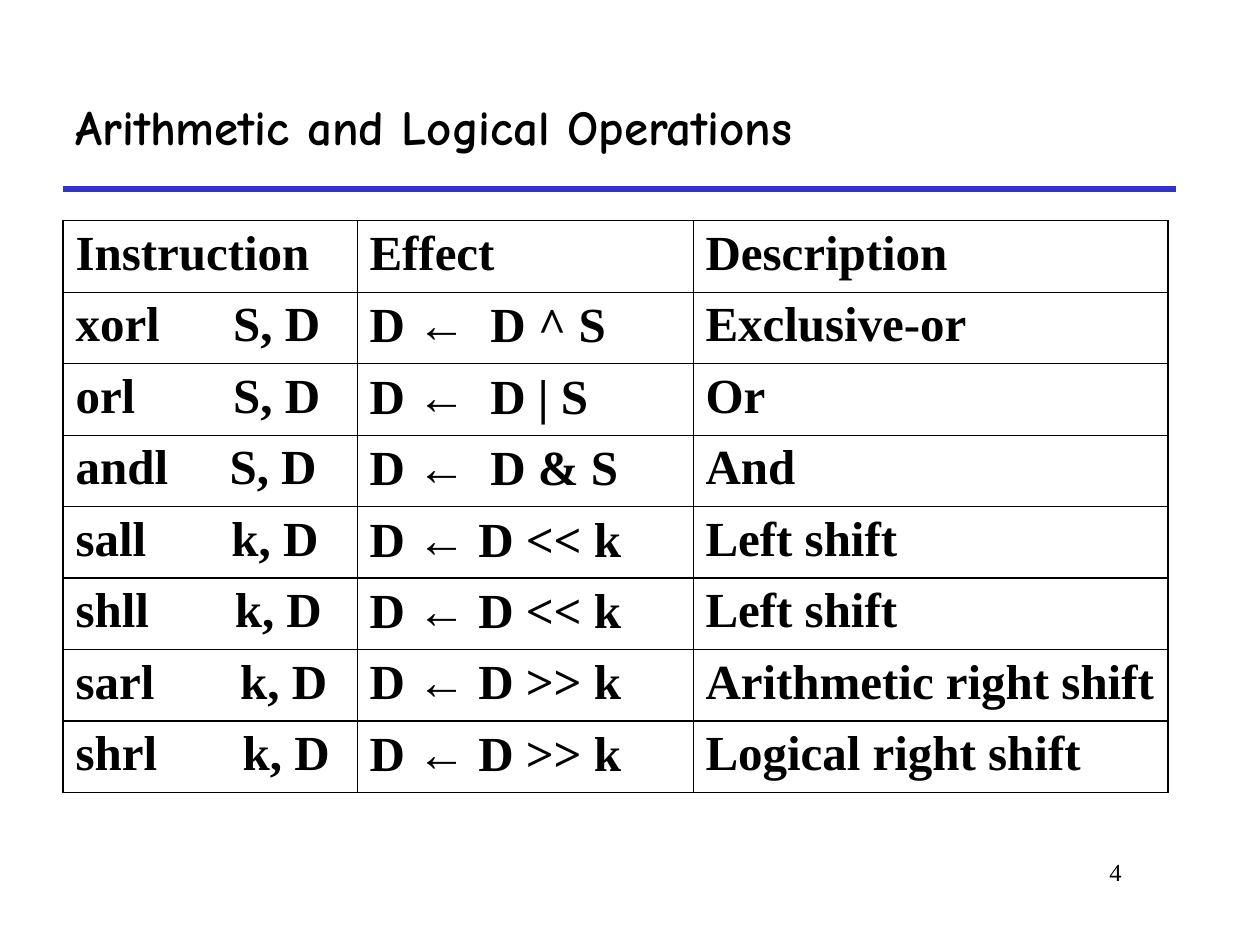
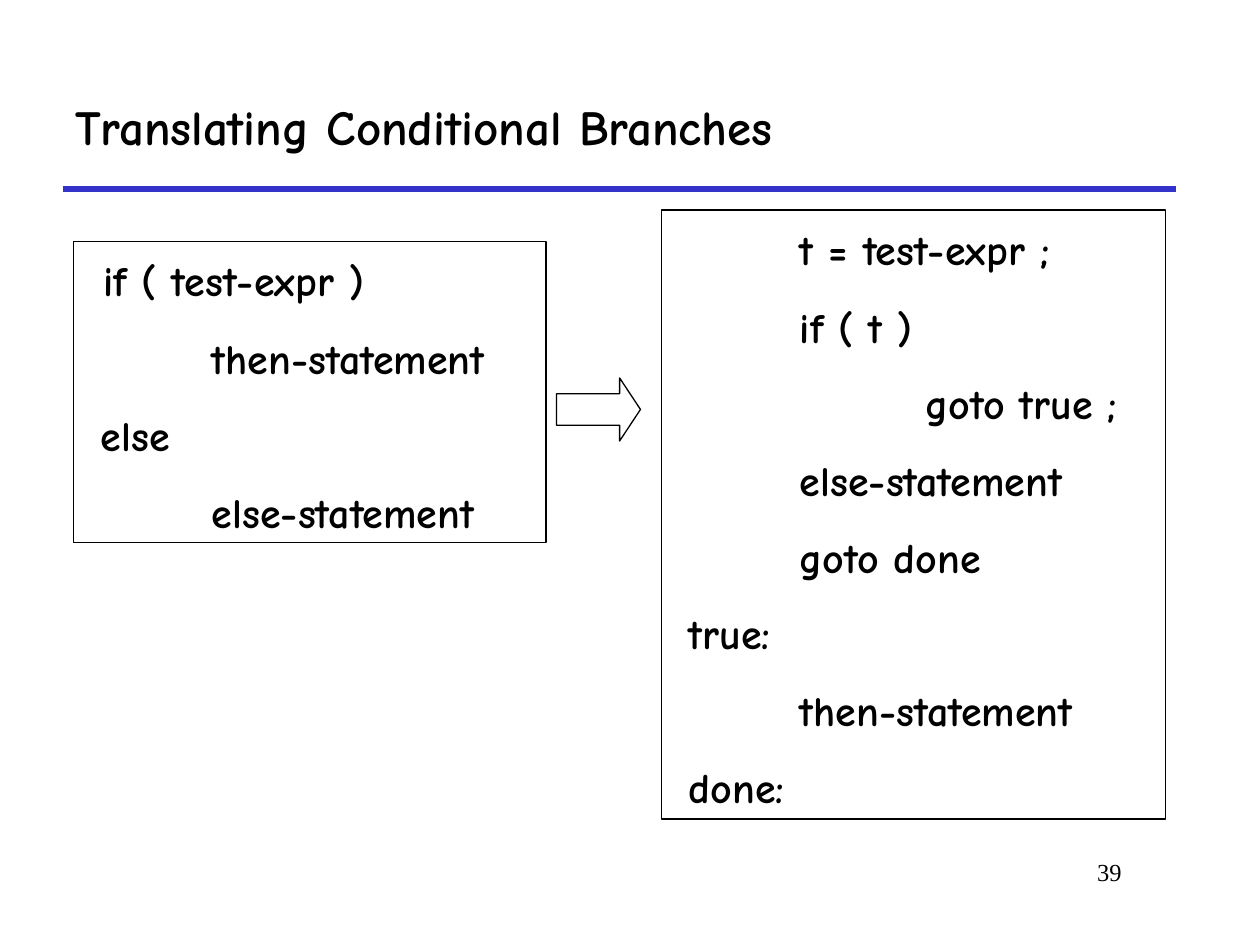
"""Build two slides on machine instructions and conditional branches."""
from lxml.etree import SubElement
from pptx import Presentation
from pptx.dml.color import RGBColor
from pptx.enum.shapes import MSO_CONNECTOR as Connector, MSO_SHAPE as Shape
from pptx.enum.text import MSO_ANCHOR as Anchor, MSO_AUTO_SIZE as AutoSize, PP_ALIGN as Align
from pptx.oxml.ns import qn
from pptx.util import Pt

BLACK = "000000"
BLUE = "3333CC"
HEAD_FONT = "Comic Neue"
BODY_FONT = "Times New Roman"
ARROW_FONT = "Arial"
THICK, THIN = 1.08, 0.45

HEADER = ("Instruction", "Effect", "Description")
OPERATIONS = [
    ("xorl\tS, D", "\tD ^ S", "Exclusive-or"),
    ("orl\tS, D", "\tD | S", "Or"),
    ("andl\tS, D", "\tD & S", "And"),
    ("sall\tk, D", " D << k", "Left shift"),
    ("shll\tk, D", " D << k", "Left shift"),
    ("sarl\tk, D", " D >> k", "Arithmetic right shift"),
    ("shrl\tk, D", " D >> k", "Logical right shift"),
]
OPERAND_TABS = (90, 90, 88, 89, 91, 94, 95.5)
EFFECT_TAB = 69
COLUMN_WIDTHS = (168, 192, 271.6)
ROW_HEIGHT = 40.77
FIRST_SHIFT_ROW = 4

CODE_TABS = (72, 144)
SOURCE_LINES = [" if ( test-expr )", "\tthen-statement", " else", "\telse-statement"]
GOTO_LINES = [" \tt = test-expr ;", " \tif ( t )", "\t\tgoto true ;", " \telse-statement",
              " \tgoto done", " true:", "\tthen-statement", " done:"]


def color(hex_text):
    return RGBColor.from_string(hex_text)


def write(para, text, font=BODY_FONT, size=28, bold=True, ink=BLACK):
    span = para.add_run()
    span.text = text
    span.font.name = font
    span.font.size = Pt(size)
    span.font.bold = bold
    span.font.color.rgb = color(ink)


def add_tabs(para, *positions):
    tabs = SubElement(para._p.get_or_add_pPr(), qn("a:tabLst"))
    for position in positions:
        SubElement(tabs, qn("a:tab"), pos=str(Pt(position)), algn="l")


def add_borders(cell, **widths):
    """Draw the cell edges, named by the letters L, R, T and B."""
    props = cell._tc.get_or_add_tcPr()
    for side, width in widths.items():
        edge = SubElement(props, qn(f"a:ln{side}"), w=str(Pt(width)))
        fill = SubElement(edge, qn("a:solidFill"))
        SubElement(fill, qn("a:srgbClr"), val=BLACK)


class Deck:
    """Hold the shared slide style and the current page."""

    def __init__(self):
        self.show = Presentation()
        self.show.slide_width, self.show.slide_height = Pt(720), Pt(540)
        self.page = None

    def add_page(self, title, number):
        self.page = self.show.slides.add_slide(self.show.slide_layouts[6])
        self.rule(36, 108, 672)
        self.label(number, 546, 486, 102, 36, align=Align.RIGHT, size=14, bold=False)
        self.label(title, 36, 36, 636, 72, anchor=Anchor.MIDDLE, font=HEAD_FONT)

    def rule(self, left, top, right):
        line = self.page.shapes.add_connector(
            Connector.STRAIGHT, Pt(left), Pt(top), Pt(right), Pt(top))
        line.line.color.rgb = color(BLUE)
        line.line.width = Pt(3)
        SubElement(line._element.spPr, qn("a:effectLst"))

    def label(self, text, left, top, width, height, align=Align.LEFT, anchor=Anchor.TOP,
              **style):
        box = self.page.shapes.add_textbox(Pt(left), Pt(top), Pt(width), Pt(height))
        frame = box.text_frame
        frame.word_wrap = True
        frame.vertical_anchor = anchor
        para = frame.paragraphs[0]
        para.alignment = align
        write(para, text, **style)

    def outline(self, kind, left, top, width, height):
        shape = self.page.shapes.add_shape(kind, Pt(left), Pt(top), Pt(width), Pt(height))
        shape.shadow.inherit = False
        shape.fill.background()
        shape.line.color.rgb = color(BLACK)
        shape.line.width = Pt(0.75)
        return shape

    def code_box(self, lines, left, top, width, height):
        frame = self.outline(Shape.RECTANGLE, left, top, width, height).text_frame
        frame.word_wrap = True
        frame.auto_size = AutoSize.SHAPE_TO_FIT_TEXT
        frame.vertical_anchor = Anchor.TOP
        for index, line in enumerate(lines):
            para = frame.add_paragraph() if index else frame.paragraphs[0]
            para.alignment = Align.LEFT
            add_tabs(para, *CODE_TABS)
            if index:
                para.space_before = Pt(15)
                write(para, line, font=HEAD_FONT, size=24)
            else:
                code = line.lstrip()
                write(para, line[:-len(code)], font=HEAD_FONT)
                write(para, code, font=HEAD_FONT, size=24)

    def arrow(self, left, top, width, height):
        shape = self.outline(Shape.RIGHT_ARROW, left, top, width, height)
        shape.adjustments[0], shape.adjustments[1] = 0.5, 0.33

    def operation_table(self, left, top):
        rows = [HEADER, *OPERATIONS]
        last_column = len(HEADER) - 1
        table = self.page.shapes.add_table(
            len(rows), len(HEADER), Pt(left), Pt(top),
            Pt(sum(COLUMN_WIDTHS)), Pt(ROW_HEIGHT * len(rows))).table
        table.first_row = table.horz_banding = False
        for column, width in zip(table.columns, COLUMN_WIDTHS):
            column.width = Pt(width)
        for r, texts in enumerate(rows):
            table.rows[r].height = Pt(ROW_HEIGHT)
            for c, text in enumerate(texts):
                cell = table.cell(r, c)
                add_borders(
                    cell,
                    L=THIN if c else THICK,
                    R=THICK if c == last_column else THIN,
                    T=THICK if r == 0 or r >= FIRST_SHIFT_ROW else THIN,
                    B=THICK if r + 1 >= FIRST_SHIFT_ROW else THIN)
                cell.fill.background()
                para = cell.text_frame.paragraphs[0]
                if "\t" in text:
                    add_tabs(para, EFFECT_TAB if c else OPERAND_TABS[r - 1])
                if r and c == 1:
                    write(para, "D ")
                    write(para, "←", font=ARROW_FONT)
                write(para, text)


def main():
    deck = Deck()
    deck.add_page("Arithmetic and Logical Operations", "4")
    deck.operation_table(36, 126)
    deck.add_page("Translating Conditional Branches", "39")
    deck.code_box(SOURCE_LINES, 42, 138, 270, 172)
    deck.arrow(318, 216, 48, 36)
    deck.code_box(GOTO_LINES, 378, 120, 288, 348)
    deck.show.save("out.pptx")


if __name__ == "__main__":
    main()
